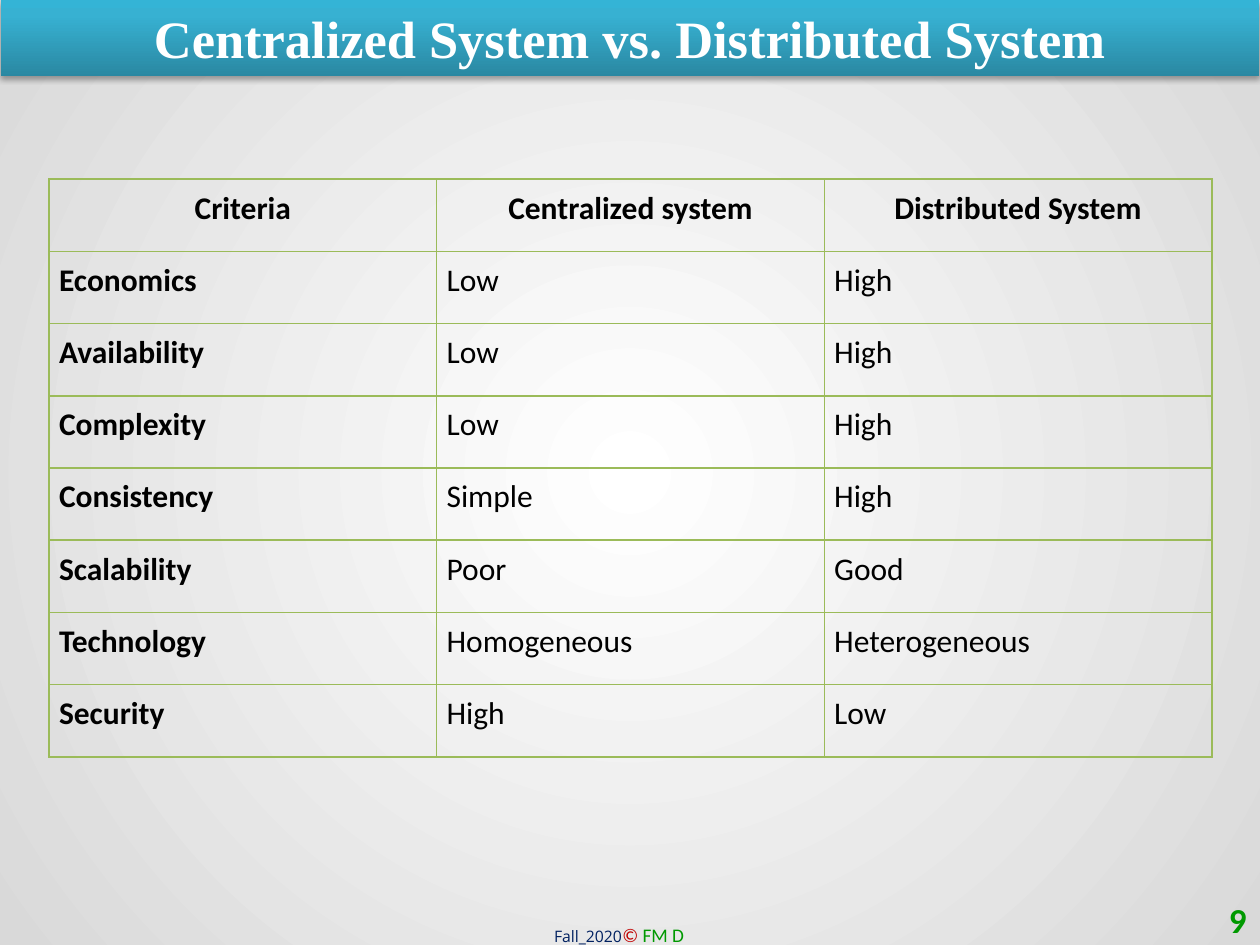
from dataclasses import dataclass

from lxml.etree import SubElement
from pptx import Presentation
from pptx.dml.color import RGBColor as RGB
from pptx.enum.shapes import MSO_SHAPE as Shape
from pptx.enum.text import MSO_ANCHOR as Anchor, PP_ALIGN as Align
from pptx.oxml.ns import qn
from pptx.util import Cm, Pt


@dataclass(frozen=True)
class Theme:
    heading_font: str = "Times New Roman"
    body_font: str = "Calibri"
    footer_font: str = "Open Sans"
    title_size: int = 30
    number_size: int = 20
    table_size: int = 18
    term_size: int = 9
    author_size: int = 11
    white: str = "FFFFFF"
    black: str = "000000"
    navy: str = "002060"
    red: str = "C00000"
    green: str = "009900"
    border: str = "9BBB59"
    backdrop: tuple = ((0, "FFFFFF"), (100, "D9D9D9"))
    banner: tuple = ((0, "2A88A2"), (80, "37B1D2"), (100, "34B4D6"))


@dataclass(frozen=True)
class Criterion:
    name: str
    centralized: str
    distributed: str


@dataclass(frozen=True)
class FooterPart:
    text: str
    font: str
    size: int
    color: str
    italic: bool = False


THEME = Theme()
HEADER = Criterion("Criteria", "Centralized system", "Distributed System")
CRITERIA = [
    Criterion("Economics", "Low", "High"),
    Criterion("Availability", "Low", "High"),
    Criterion("Complexity", "Low", "High"),
    Criterion("Consistency", "Simple", "High"),
    Criterion("Scalability", "Poor", "Good"),
    Criterion("Technology", "Homogeneous", "Heterogeneous"),
    Criterion("Security", "High", "Low"),
]
FOOTER = [
    FooterPart("Fall_2020", THEME.footer_font, THEME.term_size, THEME.navy),
    FooterPart("© ", THEME.body_font, THEME.author_size, THEME.red, True),
    FooterPart("FM D", THEME.body_font, THEME.author_size, THEME.green),
]


def child(parent, tag: str, **attrs):
    return SubElement(parent, qn(tag), {k: str(v) for k, v in attrs.items()})


def set_font(font, name: str, size: int, color: str, bold: bool = False) -> None:
    font.name, font.size, font.bold = name, Pt(size), bold
    font.color.rgb = RGB.from_string(color)


def set_gradient(fill, owner, stops: tuple, radial: bool = False) -> None:
    fill.gradient()
    grad = next(owner.iter(qn("a:gradFill")))
    for old in list(grad):
        grad.remove(old)
    stop_list = child(grad, "a:gsLst")
    for pos, color in stops:
        stop = child(stop_list, "a:gs", pos=pos * 1000)
        child(stop, "a:srgbClr", val=color)
    if radial:
        focus = child(grad, "a:path", path="circle")
        child(focus, "a:fillToRect", l=50000, t=50000, r=50000, b=50000)
    else:
        child(grad, "a:lin", ang=270 * 60000, scaled=0)


def add_shadow(sp) -> None:
    effects = child(sp.element.spPr, "a:effectLst")
    shadow = child(effects, "a:outerShdw", blurRad=Pt(3.1), dist=Pt(1.8),
                   dir=90 * 60000, rotWithShape=0)
    color = child(shadow, "a:srgbClr", val=THEME.black)
    child(color, "a:alpha", val=35000)


def add_title(s, text: str) -> None:
    sp = s.shapes.add_shape(Shape.RECTANGLE, Cm(0.02), 0, Cm(25.36), Cm(1.54))
    set_gradient(sp.fill, sp.element, THEME.banner)
    sp.line.fill.background()
    add_shadow(sp)
    tf = sp.text_frame
    tf.vertical_anchor = Anchor.TOP
    p = tf.paragraphs[0]
    p.text, p.alignment = text, Align.CENTER
    set_font(p.font, THEME.heading_font, THEME.title_size, THEME.white, True)


def add_borders(cell) -> None:
    props = cell._tc.get_or_add_tcPr()
    for side in ("a:lnL", "a:lnR", "a:lnT", "a:lnB"):
        line = child(props, side, w=Pt(1))
        child(child(line, "a:solidFill"), "a:srgbClr", val=THEME.border)


def fill_cell(cell, text: str, bold: bool, align: Align) -> None:
    add_borders(cell)
    cell.fill.background()
    cell.margin_left = cell.margin_right = Cm(0.2)
    cell.margin_top = cell.margin_bottom = Cm(0.2)
    p = cell.text_frame.paragraphs[0]
    p.text, p.alignment = text, align
    set_font(p.font, THEME.body_font, THEME.table_size, THEME.black, bold)


def add_comparison(s, rows: list[Criterion]) -> None:
    table = s.shapes.add_table(len(rows), 3, Cm(0.99), Cm(3.61),
                               Cm(23.44), Cm(11.65)).table
    table.first_row = table.horz_banding = False
    for i, row in enumerate(rows):
        values = (row.name, row.centralized, row.distributed)
        for j, value in enumerate(values):
            fill_cell(table.cell(i, j), value, i == 0 or j == 0,
                      Align.CENTER if i == 0 else Align.LEFT)


def add_footer(s, parts: list[FooterPart]) -> None:
    tf = s.shapes.add_textbox(Cm(10.92), Cm(18.49), Cm(3.43), Cm(0.74)).text_frame
    tf.word_wrap = True
    for part in parts:
        r = tf.paragraphs[0].add_run()
        r.text = part.text
        set_font(r.font, part.font, part.size, part.color)
        r.font.italic = part.italic


def add_page_number(s, number: int) -> None:
    tf = s.shapes.add_textbox(Cm(19.46), Cm(18.03), Cm(5.92), Cm(1.02)).text_frame
    tf.word_wrap = True
    tf.vertical_anchor = Anchor.MIDDLE
    p = tf.paragraphs[0]
    p.text, p.alignment = str(number), Align.RIGHT
    set_font(p.font, THEME.body_font, THEME.number_size, THEME.green, True)


def main() -> None:
    prs = Presentation()
    prs.slide_width, prs.slide_height = Cm(25.4), Cm(19.05)
    s = prs.slides.add_slide(prs.slide_layouts[6])

    # Background
    set_gradient(s.background.fill, s.element, THEME.backdrop, radial=True)

    # Footer, title banner and page number
    add_footer(s, FOOTER)
    add_title(s, "Centralized System vs. Distributed System")
    add_page_number(s, 9)

    # Comparison table
    add_comparison(s, [HEADER, *CRITERIA])

    prs.save("out.pptx")


if __name__ == "__main__":
    main()
